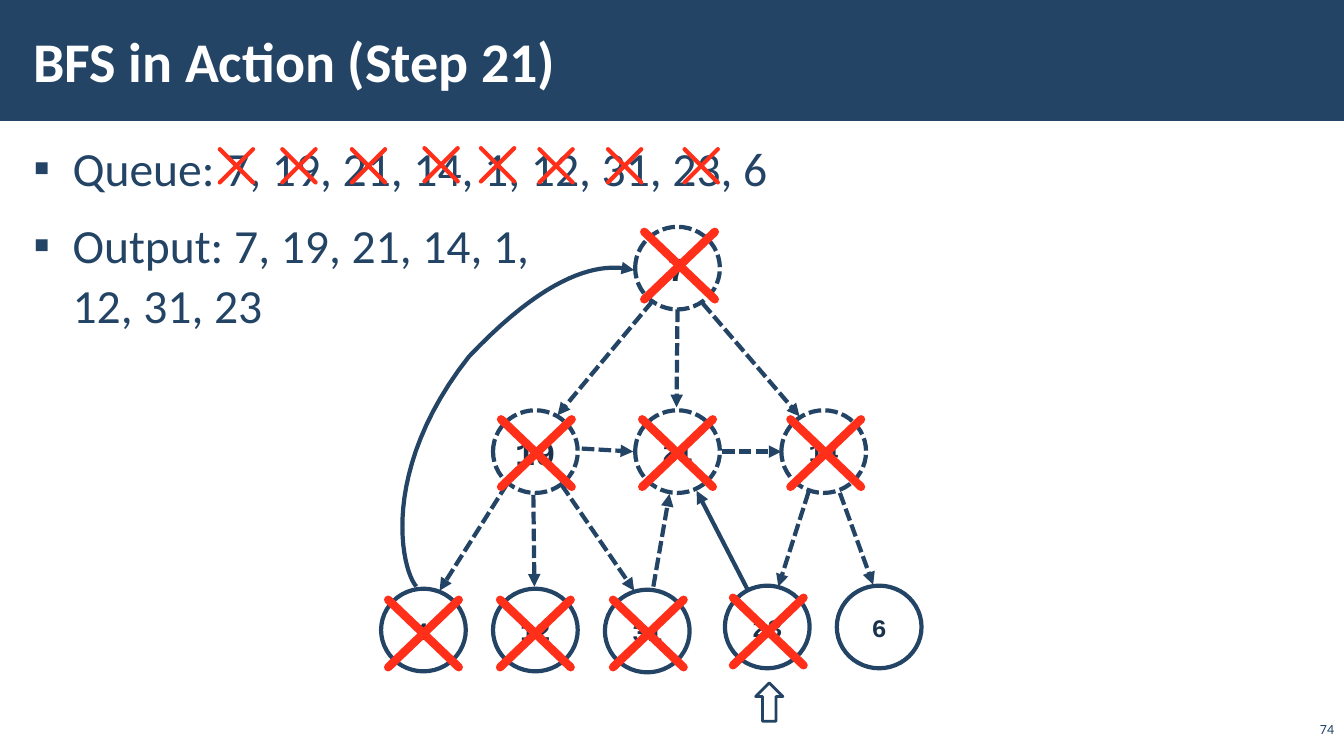
import dataclasses

import pptx
import pptx.dml.color
import pptx.enum.dml
import pptx.enum.shapes
import pptx.enum.text
import pptx.oxml
import pptx.oxml.ns
import pptx.util
from pptx.util import Inches


@dataclasses.dataclass(frozen=True)
class Theme:
    """Colours, fonts and point sizes of the slide."""
    navy: str = "234465"
    ink: str = "1A334C"
    red: str = "FF2F19"
    white: str = "FFFFFF"
    text_font: str = "Calibri"
    node_font: str = "Courier New"
    title_size: int = 40
    body_size: int = 34
    large_node_size: int = 24
    node_size: int = 18
    number_size: int = 10
    line_width: int = 3
    cross_width: int = 6
    pointer_width: int = 2


THEME = Theme()
SHAPE = pptx.enum.shapes.MSO_SHAPE
ANCHOR = pptx.enum.text.MSO_ANCHOR
ALIGN = pptx.enum.text.PP_ALIGN
NODE_SIZE = (0.84, 0.82)
GRAPH_CROSS_SIZE = (0.7, 0.67)
QUEUE_CROSS_SIZE = (0.33, 0.33)

NODES = [
    ("7", 6.3, 2.25, True, THEME.large_node_size),
    ("19", 4.89, 4.07, True, THEME.large_node_size),
    ("21", 6.3, 4.07, True, THEME.node_size),
    ("14", 7.75, 4.07, True, THEME.node_size),
    ("1", 3.78, 5.84, False, THEME.node_size),
    ("12", 4.89, 5.84, False, THEME.node_size),
    ("31", 6, 5.85, False, THEME.node_size),
    ("23", 7.19, 5.81, False, THEME.node_size),
    ("6", 8.3, 5.81, False, THEME.node_size),
]
VISITED_EDGES = [
    ((6.47, 2.99), (5.53, 4.12)),
    ((6.72, 3.07), (6.71, 4.04)),
    ((6.97, 3.01), (7.93, 4.13)),
    ((5.77, 4.45), (6.28, 4.48)),
    ((7.16, 4.48), (7.75, 4.48)),
    ((5.03, 4.8), (4.36, 5.86)),
    ((5.29, 4.91), (5.3, 5.82)),
    ((5.57, 4.81), (6.29, 5.86)),
    ((6.48, 5.82), (6.64, 4.9)),
    ((8.02, 4.88), (7.72, 5.82)),
    ((8.33, 4.89), (8.66, 5.8)),
]
OPEN_EDGE = ((7.41, 5.84), (6.91, 4.87))
BACK_EDGE = [
    ((4.13, 5.82), (3.98, 5.65), (3.76, 4.67), (4.65, 3.54)),
    ((4.65, 3.54), (5.54, 2.6), (6.04, 2.62), (6.29, 2.68)),
]
GRAPH_CROSSES = [(6.39, 2.3), (4.97, 4.16), (6.37, 4.16), (7.84, 4.16),
                 (3.85, 5.95), (4.96, 5.95), (6.08, 5.95), (7.27, 5.93)]
QUEUE_CROSSES = [(2.18, 1.48), (2.8, 1.48), (3.49, 1.48), (4.21, 1.47),
                 (4.77, 1.47), (5.35, 1.48), (6.03, 1.48), (6.79, 1.48)]


def rgb(colour):
    """Turn a hex string into a colour."""
    return pptx.dml.color.RGBColor.from_string(colour)


def add_element(parent, tag, **attributes):
    """Append an XML child and return it."""
    child = pptx.oxml.parse_xml(f"<{tag} {pptx.oxml.ns.nsdecls('a')}/>")
    for name, value in attributes.items():
        child.set(name, value)
    parent.append(child)
    return child


def format_line(shape, colour, width, dashed=False, arrow=False, rounded=False):
    """Set an outline's colour, width, dash, cap and arrowhead."""
    shape.line.color.rgb = rgb(colour)
    shape.line.width = pptx.util.Pt(width)
    if dashed:
        shape.line.dash_style = pptx.enum.dml.MSO_LINE.SQUARE_DOT
    outline = shape.element.spPr.find(pptx.oxml.ns.qn("a:ln"))
    if rounded:
        outline.set("cap", "rnd")
    if arrow:
        add_element(outline, "a:tailEnd", type="triangle")


def format_fill(shape, colour, opacity=100):
    """Give a shape a solid fill without shadow."""
    shape.shadow.inherit = False
    shape.fill.solid()
    shape.fill.fore_color.rgb = rgb(colour)
    if opacity < 100:
        for colour_element in shape.element.spPr.findall(
                "a:solidFill/a:srgbClr", {"a": pptx.oxml.ns.namespaces("a")["a"]}
                if hasattr(pptx.oxml.ns, "namespaces")
                else {"a": pptx.oxml.ns.nsuri("a")}):
            add_element(colour_element, "a:alpha", val=str(opacity * 1000))


def format_text(paragraph, font, size, colour, bold=False, align=ALIGN.LEFT):
    """Format all runs of a paragraph."""
    paragraph.alignment = align
    for run in paragraph.runs:
        run.font.name = font
        run.font.size = pptx.util.Pt(size)
        run.font.bold = bold
        run.font.color.rgb = rgb(colour)


def place(shape, left, top, width, height):
    """Move and size a shape in inches."""
    shape.left, shape.top = Inches(left), Inches(top)
    shape.width, shape.height = Inches(width), Inches(height)


def set_frame(text_frame, anchor):
    """Set the insets and anchor of a placeholder."""
    text_frame.auto_size = pptx.enum.text.MSO_AUTO_SIZE.NONE
    text_frame.vertical_anchor = anchor
    text_frame.margin_left = text_frame.margin_right = Inches(0.12)
    text_frame.margin_top = text_frame.margin_bottom = Inches(0.04)


def add_line(shapes, start, end, colour, width, **style):
    """Draw a straight line between two points."""
    connector = shapes.add_connector(
        pptx.enum.shapes.MSO_CONNECTOR.STRAIGHT,
        *(Inches(value) for value in (*start, *end)))
    format_line(connector, colour, width, **style)
    add_element(connector.element.spPr, "a:effectLst")


def add_cross(shapes, position, size, width):
    """Draw a red cross from two diagonals."""
    left, top = position
    right, bottom = left + size[0], top + size[1]
    for start, end in (((left, top), (right, bottom)), ((right, top), (left, bottom))):
        add_line(shapes, start, end, THEME.red, width, rounded=True)


def add_node(shapes, label, left, top, dashed, size):
    """Draw a labelled graph node."""
    node = shapes.add_shape(
        SHAPE.OVAL, *(Inches(value) for value in (left, top, *NODE_SIZE)))
    format_fill(node, THEME.white, 70)
    format_line(node, THEME.navy, THEME.line_width, dashed=dashed)
    node.text_frame.text = label
    node.text_frame.word_wrap = False
    node.text_frame.vertical_anchor = ANCHOR.MIDDLE
    format_text(node.text_frame.paragraphs[0], THEME.node_font, size, THEME.ink,
                True, ALIGN.CENTER)


def add_curve(shapes, segments, steps=24):
    """Draw an arrow along cubic Bézier segments."""
    points = []
    for controls in segments:
        for step in range(1, steps + 1):
            t = step / steps
            weights = ((1 - t) ** 3, 3 * t * (1 - t) ** 2, 3 * t * t * (1 - t), t ** 3)
            points.append(tuple(
                Inches(sum(weight * value for weight, value in zip(weights, axis)))
                for axis in zip(*controls)))
    start = segments[0][0]
    builder = shapes.build_freeform(Inches(start[0]), Inches(start[1]))
    builder.add_line_segments(points, close=False)
    curve = builder.convert_to_shape()
    curve.shadow.inherit = False
    curve.fill.background()
    format_line(curve, THEME.navy, THEME.line_width, arrow=True)


def add_header(slide, text):
    """Draw the title band behind the title placeholder."""
    band = slide.shapes.add_shape(SHAPE.RECTANGLE, 0, 0, Inches(13.34), Inches(1.2))
    format_fill(band, THEME.navy)
    band.line.fill.background()
    band.element.getparent().insert(2, band.element)
    title = slide.shapes.title
    place(title, 0.21, 0.11, 10.63, 0.97)
    title.text_frame.text = text
    set_frame(title.text_frame, ANCHOR.MIDDLE)
    format_text(title.text_frame.paragraphs[0], THEME.text_font, THEME.title_size,
                THEME.white, True)


def add_list(slide, text):
    """Fill the body placeholder with square bullets."""
    body = slide.placeholders[1]
    place(body, 0.21, 1.31, 12.92, 6.05)
    body.text_frame.text = text
    set_frame(body.text_frame, ANCHOR.TOP)
    for paragraph in body.text_frame.paragraphs:
        format_text(paragraph, THEME.text_font, THEME.body_size, THEME.navy)
        paragraph.line_spacing = 1.05
        paragraph.space_before = paragraph.space_after = pptx.util.Pt(6)
        properties = paragraph.runs[0].font and paragraph._p.get_or_add_pPr()
        properties.set("marL", str(Inches(0.39)))
        properties.set("indent", str(-Inches(0.39)))
        add_element(properties, "a:buChar", char="▪")


def add_slide_number(slide, text):
    """Write the slide number at the lower right."""
    box = slide.shapes.add_textbox(*(Inches(value) for value in (12.86, 7.14, 0.47, 0.22)))
    box.text_frame.text = text
    box.text_frame.word_wrap = True
    box.text_frame.vertical_anchor = ANCHOR.BOTTOM
    format_text(box.text_frame.paragraphs[0], THEME.text_font, THEME.number_size,
                THEME.navy, align=ALIGN.RIGHT)


def add_pointer(slide):
    """Draw the arrow that marks the current node."""
    pointer = slide.shapes.add_shape(
        SHAPE.RIGHT_ARROW, *(Inches(value) for value in (7.44, 6.83, 0.38, 0.27)))
    pointer.rotation = 270
    format_fill(pointer, THEME.white, 50)
    format_line(pointer, THEME.navy, THEME.pointer_width)


def add_graph(slide):
    """Draw the nodes, edges and crosses of the graph."""
    shapes = slide.shapes.add_group_shape().shapes
    for node in NODES:
        add_node(shapes, *node)
    for start, end in VISITED_EDGES:
        add_line(shapes, start, end, THEME.navy, THEME.line_width, dashed=True, arrow=True)
    add_line(shapes, *OPEN_EDGE, THEME.navy, THEME.line_width, arrow=True)
    add_curve(shapes, BACK_EDGE)
    for position in GRAPH_CROSSES:
        add_cross(shapes, position, GRAPH_CROSS_SIZE, THEME.cross_width)


def main():
    """Build and save the slide."""
    presentation = pptx.Presentation()
    presentation.slide_width, presentation.slide_height = Inches(13.33), Inches(7.5)
    slide = presentation.slides.add_slide(presentation.slide_layouts[1])
    add_header(slide, "BFS in Action (Step 21)")
    add_list(slide, "Queue: 7, 19, 21, 14, 1, 12, 31, 23, 6\n"
                    "Output: 7, 19, 21, 14, 1,\v12, 31, 23")
    add_slide_number(slide, "74")
    for position in QUEUE_CROSSES:
        add_cross(slide.shapes.add_group_shape().shapes, position, QUEUE_CROSS_SIZE,
                  THEME.line_width)
    add_pointer(slide)
    add_graph(slide)
    presentation.save("out.pptx")


if __name__ == "__main__":
    main()
